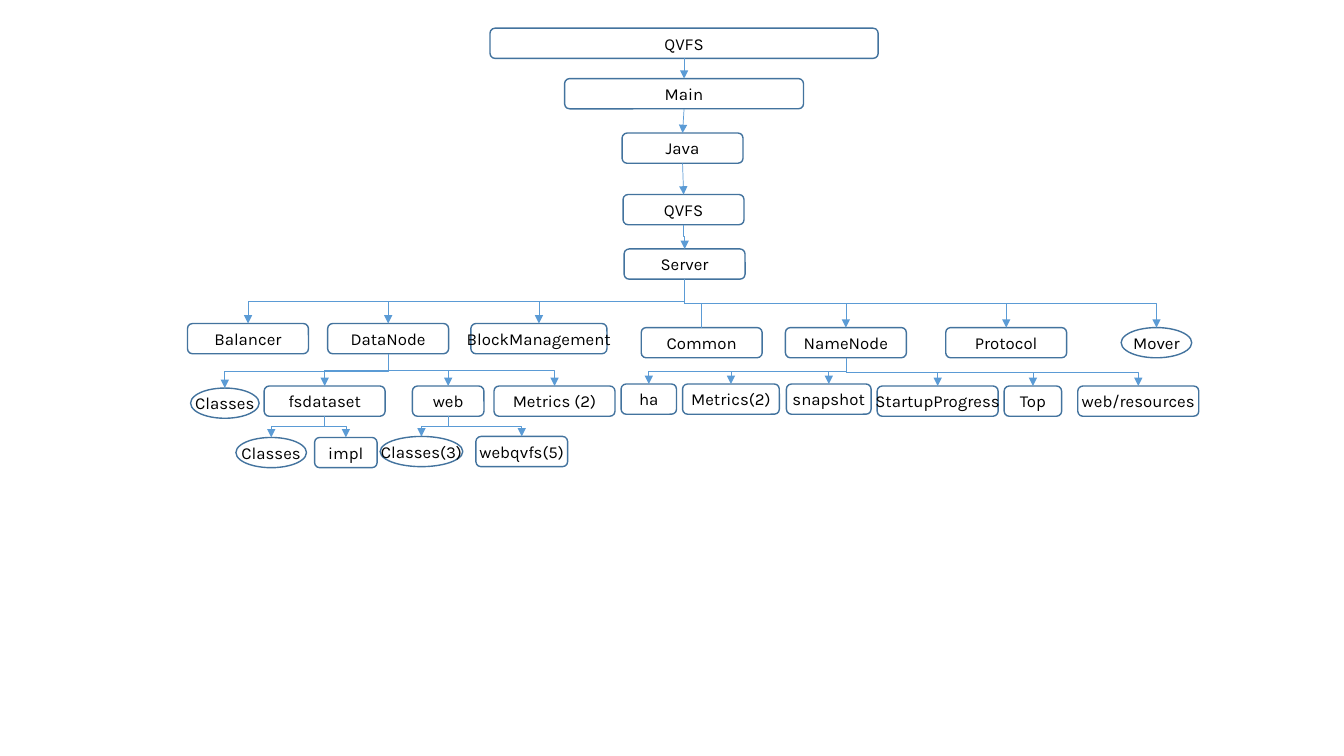
from dataclasses import dataclass

from lxml.etree import SubElement
from pptx import Presentation
from pptx.dml.color import RGBColor
from pptx.enum.shapes import MSO_CONNECTOR as CONN, MSO_SHAPE as SHAPE
from pptx.enum.text import MSO_ANCHOR, PP_ALIGN
from pptx.oxml.ns import qn
from pptx.util import Inches, Pt

OUTLINE = RGBColor(0x43, 0x73, 0x9E)
LINK = RGBColor(0x5B, 0x9B, 0xD5)
BLACK = RGBColor(0, 0, 0)
BOX, OVAL = SHAPE.ROUNDED_RECTANGLE, SHAPE.OVAL
TOP_SITE, BOTTOM_SITE = 0, 2


@dataclass
class Node:
    """A package or class group, with the nodes below it."""
    text: str
    left: float
    top: float
    width: float = 1.2
    children: tuple = ()
    kind: SHAPE = BOX
    link: CONN = CONN.ELBOW
    arrow: bool = True


class TreeSlide:
    """Holds the style and the current slide."""
    font, size, height = "Karla", Pt(12), Inches(0.3)

    def __init__(self, prs):
        """Add a blank slide to draw on."""
        self.slide = prs.slides.add_slide(prs.slide_layouts[6])

    def box(self, node):
        """Add the outlined, labelled shape of one node."""
        sp = self.slide.shapes.add_shape(
            node.kind, Inches(node.left), Inches(node.top), Inches(node.width), self.height)
        sp.shadow.inherit = False
        sp.fill.background()
        sp.line.color.rgb = OUTLINE
        sp.line.width = Pt(1)
        tf = sp.text_frame
        tf.word_wrap = False
        tf.vertical_anchor = MSO_ANCHOR.MIDDLE
        p = tf.paragraphs[0]
        p.alignment = PP_ALIGN.CENTER
        r = p.add_run()
        r.text = node.text
        r.font.name, r.font.size = self.font, self.size
        r.font.color.rgb = BLACK
        return sp

    def connect(self, parent, child, kind, arrow):
        """Link the bottom of the parent to the top of the child."""
        x1, y1 = parent.left + parent.width // 2, parent.top + parent.height
        x2, y2 = child.left + child.width // 2, child.top
        cxn = self.slide.shapes.add_connector(kind, x1, y1, x2, y2)
        cxn.begin_connect(parent, BOTTOM_SITE)
        cxn.end_connect(child, TOP_SITE)
        if kind == CONN.ELBOW:
            self.turn(cxn, x1, y1, x2, y2)
        cxn.line.color.rgb = LINK
        cxn.line.width = Pt(0.5)
        pr = cxn._element.spPr
        if arrow:
            SubElement(pr.find(qn("a:ln")), qn("a:tailEnd"), type="triangle")
        SubElement(pr, qn("a:effectLst"))

    def turn(self, cxn, x1, y1, x2, y2):
        """Rotate an elbow so that it leaves and arrives vertically."""
        span, drop = abs(x2 - x1), y2 - y1
        cxn.left = (x1 + x2 - drop) // 2
        cxn.top = (y1 + y2 - span) // 2
        cxn.width, cxn.height = drop, span
        right = x2 > x1
        xfrm = cxn._element.spPr.find(qn("a:xfrm"))
        xfrm.set("rot", str((270 if right else 90) * 60000))
        xfrm.set("flipH", "1" if right else "0")
        xfrm.set("flipV", "0")

    def tree(self, node):
        """Draw a node and everything below it."""
        sp = self.box(node)
        for child in node.children:
            self.connect(sp, self.tree(child), child.link, child.arrow)
        return sp


fsdataset = Node("fsdataset", 2.62, 3.83, children=(
    Node("Classes", 2.34, 4.34, 0.7, kind=OVAL),
    Node("impl", 3.12, 4.34, 0.62)))
web = Node("web", 4.09, 3.83, 0.71, (
    Node("Classes(3)", 3.77, 4.33, 0.82, kind=OVAL),
    Node("webqvfs(5)", 4.72, 4.33, 0.91)))
data_node = Node("DataNode", 3.25, 3.21, children=(
    Node("Classes", 1.89, 3.85, 0.68, kind=OVAL),
    fsdataset,
    web,
    Node("Metrics (2)", 4.9, 3.83)))
name_node = Node("NameNode", 7.79, 3.25, children=(
    Node("ha", 6.16, 3.81, 0.55),
    Node("Metrics(2)", 6.77, 3.81, 0.96),
    Node("snapshot", 7.8, 3.81, 0.84),
    Node("StartupProgress", 8.7, 3.83),
    Node("Top", 9.96, 3.83, 0.57),
    Node("web/resources", 10.69, 3.83)))
server = Node("Server", 6.19, 2.47, children=(
    Node("Balancer", 1.86, 3.21),
    data_node,
    Node("BlockManagement", 4.67, 3.21, 1.35),
    Node("Common", 6.36, 3.25, arrow=False),
    name_node,
    Node("Protocol", 9.38, 3.25),
    Node("Mover", 11.12, 3.25, 0.7, kind=OVAL)))
qvfs = Node("QVFS", 6.18, 1.93, children=(server,), link=CONN.STRAIGHT)
java = Node("Java", 6.17, 1.32, children=(qvfs,), link=CONN.STRAIGHT)
main = Node("Main", 5.6, 0.78, 2.37, (java,), link=CONN.STRAIGHT)
root = Node("QVFS", 4.86, 0.28, 3.85, (main,))

prs = Presentation()
prs.slide_width, prs.slide_height = Inches(13.33), Inches(7.5)
TreeSlide(prs).tree(root)
prs.save("out.pptx")
